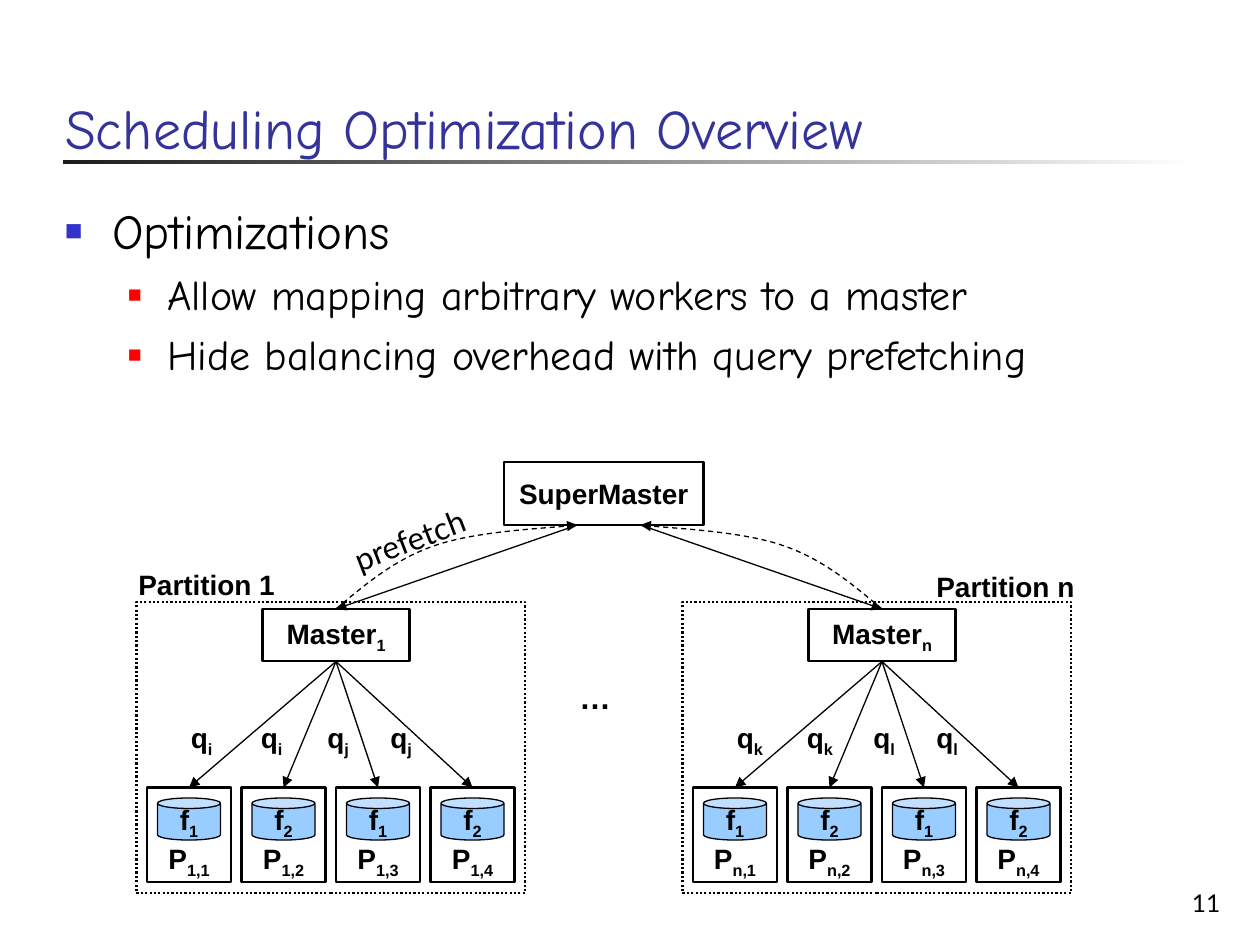
from lxml import etree
from pptx import Presentation
from pptx.dml.color import RGBColor
from pptx.enum import dml, shapes, text
from pptx.oxml.ns import qn
from pptx.util import Pt

BLACK = RGBColor(0x00, 0x00, 0x00)
CHARCOAL = RGBColor(0x1C, 0x1C, 0x1C)
WHITE = RGBColor(0xFF, 0xFF, 0xFF)
NAVY = RGBColor(0x33, 0x33, 0x99)
BLUE = RGBColor(0x33, 0x33, 0xCC)
RED = RGBColor(0xFF, 0x00, 0x00)
SKY = RGBColor(0x99, 0xCC, 0xFF)

LEFT, CENTER, RIGHT = text.PP_ALIGN.LEFT, text.PP_ALIGN.CENTER, text.PP_ALIGN.RIGHT
TOP, MIDDLE, BOTTOM = text.MSO_ANCHOR.TOP, text.MSO_ANCHOR.MIDDLE, text.MSO_ANCHOR.BOTTOM


def write(shape, words, subscript="", paragraph=None, size=16, font="Arial", color=BLACK,
          bold=True, align=CENTER, anchor=MIDDLE, wrap=False):
    """Write words, and a subscript if any, into a paragraph (the first by default)."""
    frame = shape.text_frame
    frame.word_wrap = wrap
    frame.vertical_anchor = anchor
    paragraph = paragraph or frame.paragraphs[0]
    paragraph.alignment = align
    for content, baseline in ((words, None), (subscript, "-25000")):
        if not content:
            continue
        run = paragraph.add_run()
        run.text = content
        run.font.size = Pt(size)
        run.font.name = font
        run.font.bold = bold
        run.font.color.rgb = color
        if baseline:
            run.font._element.set("baseline", baseline)


def add_label(slide, box, words, subscript="", **style):
    label = slide.shapes.add_textbox(*map(Pt, box))
    write(label, words, subscript, **style)
    return label


def add_box(slide, box, kind=shapes.MSO_SHAPE.RECTANGLE, fill=None, width=1.25, dash=None):
    shape = slide.shapes.add_shape(kind, *map(Pt, box))
    shape.shadow.inherit = False
    if fill is None:
        shape.fill.background()
    else:
        shape.fill.solid()
        shape.fill.fore_color.rgb = fill
    style_line(shape, width, dash)
    return shape


def style_line(shape, width=0.75, dash=None, arrow=False):
    shape.line.color.rgb = BLACK
    shape.line.width = Pt(width)
    if dash:
        shape.line.dash_style = dash
    if arrow:
        line = shape._element.spPr.find(qn("a:ln"))
        etree.SubElement(line, qn("a:tailEnd"), type="triangle")


def add_arrow(slide, start, end):
    arrow = slide.shapes.add_connector(shapes.MSO_CONNECTOR.STRAIGHT, *map(Pt, start + end))
    style_line(arrow, arrow=True)
    etree.SubElement(arrow._element.spPr, qn("a:effectLst"))


def add_curved_arrow(slide, points):
    """Draw Bézier segments: a start point, then three points for each segment."""
    vertices = [(Pt(x), Pt(y)) for x, y in points]
    builder = slide.shapes.build_freeform(*vertices[0])
    builder.add_line_segments(vertices[1:], close=False)
    curve = builder.convert_to_shape()
    segments = list(curve._element.iter(qn("a:lnTo")))
    for first in range(0, len(segments), 3):
        bezier = etree.Element(qn("a:cubicBezTo"))
        segments[first].addprevious(bezier)
        for segment in segments[first:first + 3]:
            bezier.append(segment[0])
            segment.getparent().remove(segment)
    curve.shadow.inherit = False
    curve.fill.background()
    style_line(curve, dash=dml.MSO_LINE.DASH, arrow=True)


def set_bullet(paragraph, margin, hanging, color, percent):
    properties = paragraph._p.get_or_add_pPr()
    properties.set("marL", str(Pt(margin)))
    properties.set("indent", str(-Pt(hanging)))
    bullet_color = etree.SubElement(properties, qn("a:buClr"))
    etree.SubElement(bullet_color, qn("a:srgbClr"), val=str(color))
    etree.SubElement(properties, qn("a:buSzPct"), val=str(percent * 1000))
    etree.SubElement(properties, qn("a:buFont"), typeface="Arial")
    etree.SubElement(properties, qn("a:buChar"), char="■")


def add_title(slide, words):
    title = slide.shapes.title
    title.left, title.top, title.width, title.height = map(Pt, (30, 16.5, 668, 79))
    write(title, words, size=32, font="Comic Neue", color=NAVY, bold=False,
          align=LEFT, anchor=BOTTOM, wrap=True)
    rule = slide.shapes.add_shape(shapes.MSO_SHAPE.RECTANGLE, *map(Pt, (36, 91.5, 648, 2.25)))
    rule.shadow.inherit = False
    rule.line.fill.background()
    rule.fill.gradient()
    rule.fill.gradient_angle = 0
    for stop, color in zip(rule.fill.gradient_stops, (CHARCOAL, WHITE)):
        stop.color.rgb = color


def add_outline(slide, heading, points):
    body = slide.shapes.add_textbox(*map(Pt, (30, 111, 675, 368.5)))
    style = dict(font="Comic Neue", bold=False, align=LEFT, anchor=TOP, wrap=True)
    paragraph = body.text_frame.paragraphs[0]
    set_bullet(paragraph, 27, 27, BLUE, 60)
    write(body, heading, size=28, **style)
    for point in points:
        paragraph = body.text_frame.add_paragraph()
        paragraph.level = 1
        paragraph.space_before = Pt(5.5)
        set_bullet(paragraph, 58.5, 22.5, RED, 55)
        write(body, point, paragraph=paragraph, size=24, **style)


def add_worker(slide, left, partition, number):
    top = 450
    add_box(slide, (left, top, 48, 54))
    store = add_box(slide, (left + 6, top + 6, 36, 24), shapes.MSO_SHAPE.CAN, SKY, 0.75)
    write(store, "f", str(2 - number % 2))
    add_label(slide, (left, top + 30, 48, 24), "P", f"{partition},{number}")


def add_partition(slide, left, name, queries):
    add_box(slide, (left, 344, 222, 166.5), dash=dml.MSO_LINE.ROUND_DOT)
    master = add_box(slide, (left + 72, 348, 84, 30))
    write(master, "Master", name)
    for index, (query, offset) in enumerate(zip(queries, (24, 64, 102, 138))):
        worker_left = left + 6 + 54 * index
        add_worker(slide, worker_left, name, index + 1)
        add_arrow(slide, (left + 114, 378), (worker_left + 24, 450))
        add_label(slide, (left + offset, 408, 42, 26.5), "q", query,
                  align=LEFT, anchor=TOP, wrap=True)


def add_master_links(slide):
    curve = [(192, 348), (208.8, 334), (225.4, 319.7), (248.4, 311.8),
             (271.4, 303.8), (316, 301.7), (330, 300)]
    mirrored = [(696 - x, y) for x, y in curve]
    for points in (curve, mirrored):
        add_arrow(slide, points[-1], points[0])
        add_curved_arrow(slide, points)


def main():
    presentation = Presentation()
    presentation.slide_width, presentation.slide_height = Pt(720), Pt(540)
    slide = presentation.slides.add_slide(presentation.slide_layouts[5])

    add_title(slide, "Scheduling Optimization Overview")
    add_outline(slide, "Optimizations", (
        "Allow mapping arbitrary workers to a master",
        "Hide balancing overhead with query prefetching",
    ))

    write(add_box(slide, (288, 264, 114, 36)), "SuperMaster")
    add_partition(slide, 78, "1", "iijj")
    add_partition(slide, 390, "n", "kkll")
    add_master_links(slide)

    caption = dict(anchor=TOP, wrap=True)
    add_label(slide, (72, 321, 96, 26.5), "Partition 1", align=LEFT, **caption)
    add_label(slide, (528, 322, 96, 26.5), "Partition n", align=LEFT, **caption)
    add_label(slide, (324, 384, 30, 29), "…", size=18, **caption)
    prefetch = add_label(slide, (186, 294, 96, 29), "prefetch", size=18, font="Lato",
                         bold=False, **caption)
    prefetch.rotation = 339
    add_label(slide, (554.5, 492, 150, 36), "11", size=14, font="Lato", bold=False,
              align=RIGHT, anchor=BOTTOM, wrap=True)

    presentation.save("out.pptx")


if __name__ == "__main__":
    main()
